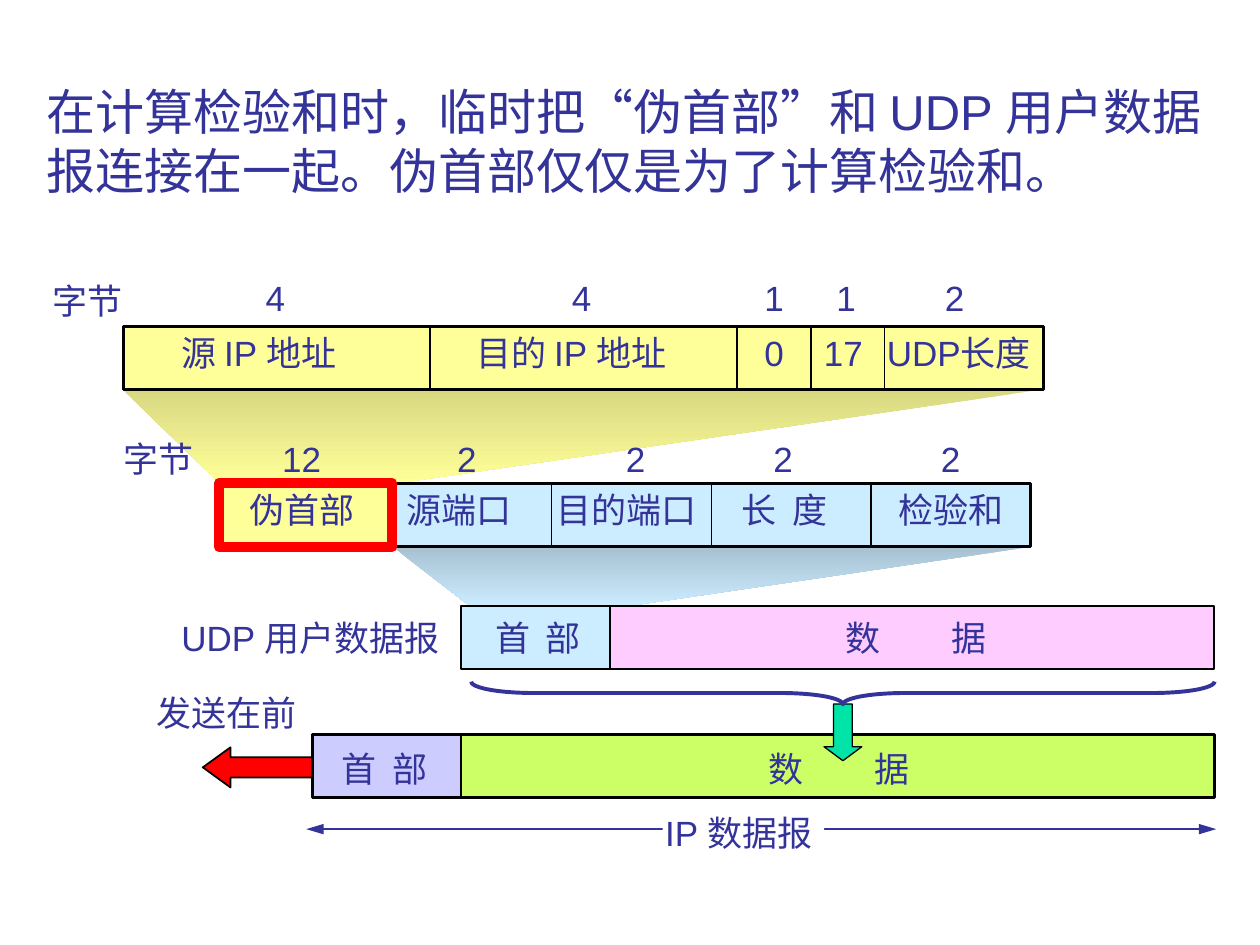
from lxml.etree import SubElement
from pptx import Presentation
from pptx.dml.color import RGBColor
from pptx.enum.dml import MSO_LINE
from pptx.enum.shapes import MSO_CONNECTOR, MSO_SHAPE
from pptx.enum.text import MSO_ANCHOR, MSO_AUTO_SIZE, PP_ALIGN
from pptx.oxml.ns import qn
from pptx.util import Pt

INK, BLACK, WHITE, RED = "333399", "000000", "FFFFFF", "FF0000"
YELLOW, BLUE = "FFFF99", "CCECFF"
ROW_HEIGHT = 36
LABEL_HEIGHT = 31.7
CJK_SPACE = 4.5  # width of one space between Chinese characters at 20 pt

# Content: title runs with their fonts
TITLE = [
    ("在计算检验和时，临时把“伪首部”和 UDP 用户数据报连接在一起。", "Arial"),
    ("伪首部仅仅是为了计算检验和。", "Lato"),
]

# Expansion cones: points, top colour, bottom colour
CONES = [
    ([(224.5, 312.5), (589, 312.5), (358, 346.5), (268, 346)], "A7C1D1", BLUE),
    ([(70, 222.5), (596, 222.5), (224.5, 276.5), (126, 276.5)], "D8D882", YELLOW),
]

# Bars: left, top, width, fill, line weight, inner divider positions
BARS = [
    (70.5, 186.5, 526, YELLOW, 1.5, [245.8, 421.2, 463.5, 505.5]),
    (224, 276.5, 365, BLUE, 1.5, [224 + 365 / 4 * i for i in (1, 2, 3)]),
    (263.5, 346.3, 85, BLUE, 1, []),
    (348.5, 346.3, 345.5, "FFCCFF", 1, []),
    (178.5, 419.8, 85, "CCCCFF", 1.5, []),
    (263.5, 419.8, 430.5, "CCFF66", 1.5, []),
]

# Labels by row top: text, left, width, spaces in its gap
LABELS = {
    154.2: [("4", 144.7, 25.5), ("4", 319.7, 25.5), ("1", 429.8, 25.5),
            ("1", 470.9, 25.5), ("2", 532.8, 25.5)],
    156: [("字节", 23, 54.4)],
    185.7: [("源 IP 地址", 96.5, 113), ("目的 IP 地址", 265, 133), ("0", 429.8, 25.5),
            ("17", 463.7, 36.6), ("UDP长度", 499.7, 101.5)],
    246.5: [("字节", 63.4, 54.4), ("12", 154.1, 36.6), ("2", 254.2, 25.5),
            ("2", 350.6, 25.5), ("2", 434.9, 25.5), ("2", 530.6, 25.5)],
    275.8: [("伪首部", 135.4, 74.4), ("源端口", 225.4, 74.4), ("目的端口", 311, 94.4),
            ("长 度", 416.9, 63.4, 2), ("检验和", 506.2, 74.4)],
    348.8: [("UDP 用户数据报", 96.5, 167), ("首 部", 275.8, 63.4, 2),
            ("数 据", 475.9, 95, 9)],
    391.7: [("发送在前", 82.1, 94.4)],
    423.4: [("首 部", 187.9, 63.4, 2), ("数 据", 432, 95, 9)],
    460: [("IP 数据报", 373, 103.7)],
}


def color(value):
    return RGBColor.from_string(value)


def paint(shape, fill=None, line=None, weight=1):
    shape.shadow.inherit = False
    if fill:
        shape.fill.solid()
        shape.fill.fore_color.rgb = color(fill)
    else:
        shape.fill.background()
    if line:
        shape.line.color.rgb = color(line)
        shape.line.width = Pt(weight)
    else:
        shape.line.fill.background()


def add_preset(slide, kind, left, top, width, height, **style):
    shape = slide.shapes.add_shape(kind, Pt(left), Pt(top), Pt(width), Pt(height))
    paint(shape, **style)
    return shape


def add_outline(slide, points, close):
    corners = [(Pt(x), Pt(y)) for x, y in points]
    builder = slide.shapes.build_freeform(*corners[0])
    builder.add_line_segments(corners[1:], close=close)
    return builder.convert_to_shape()


def add_line(slide, x1, y1, x2, y2, line, arrows=False):
    connector = slide.shapes.add_connector(
        MSO_CONNECTOR.STRAIGHT, Pt(x1), Pt(y1), Pt(x2), Pt(y2))
    connector.line.color.rgb = color(line)
    connector.line.width = Pt(0.75)
    if arrows:
        outline = connector._element.spPr.find(qn("a:ln"))
        for end in ("a:headEnd", "a:tailEnd"):
            SubElement(outline, qn(end), type="triangle", w="med", len="lg")
    SubElement(connector._element.spPr, qn("a:effectLst"))
    return connector


def format_span(span, size, font="Arial"):
    span.font.size = Pt(size)
    span.font.name = font
    span.font.color.rgb = color(INK)


def add_label(slide, top, text, left, width, spaces=0):
    box = slide.shapes.add_textbox(Pt(left), Pt(top), Pt(width), Pt(LABEL_HEIGHT))
    box.text_frame.word_wrap = False
    box.text_frame.auto_size = MSO_AUTO_SIZE.SHAPE_TO_FIT_TEXT
    para = box.text_frame.paragraphs[0]
    for part in text.partition(" ") if spaces else [text]:
        span = para.add_run()
        span.text = part
        format_span(span, 20)
        if part == " ":  # widen the gap by character spacing
            span._r.get_or_add_rPr().set("spc", str(round((spaces - 1) * CJK_SPACE * 100)))


def add_title(slide):
    title = slide.shapes.title
    title.left, title.top, title.width, title.height = Pt(19.5), Pt(43), Pt(683), Pt(75)
    frame = title.text_frame
    frame.word_wrap = True
    frame.auto_size = MSO_AUTO_SIZE.NONE
    frame.vertical_anchor = MSO_ANCHOR.TOP
    para = frame.paragraphs[0]
    para.alignment = PP_ALIGN.LEFT
    for text, font in TITLE:
        span = para.add_run()
        span.text = text
        format_span(span, 28, font)


def add_bar(slide, left, top, width, fill, weight, dividers):
    bar = add_preset(slide, MSO_SHAPE.RECTANGLE, left, top, width, ROW_HEIGHT,
                     fill=fill, line=BLACK, weight=weight)
    for x in dividers:
        divider = add_line(slide, x, top, x, top + ROW_HEIGHT, BLACK)
        if x == left + width / 2:
            divider.begin_connect(bar, 0)
            divider.end_connect(bar, 2)


def main():
    deck = Presentation()
    deck.slide_width, deck.slide_height = Pt(720), Pt(540)
    slide = deck.slides.add_slide(deck.slide_layouts[5])
    add_title(slide)

    # Expansion cones
    for points, top_color, bottom_color in CONES:
        cone = add_outline(slide, points, close=True)
        paint(cone)
        cone.fill.gradient()
        cone.fill.gradient_angle = 270
        for stop, value in zip(cone.fill.gradient_stops, (top_color, bottom_color)):
            stop.color.rgb = color(value)

    # Field bars
    for bar in BARS:
        add_bar(slide, *bar)

    # Pseudo header: dashed cell inside a red frame
    cell = add_outline(
        slide, [(224.5, 312.5), (126, 312.5), (126, 276.5), (224.5, 276.5)], close=False)
    paint(cell, YELLOW, BLACK, 1.5)
    cell.line.dash_style = MSO_LINE.DASH
    add_preset(slide, MSO_SHAPE.RECTANGLE, 125.3, 276, 98.7, 36.5, line=RED, weight=6)

    # Extent of the IP datagram, with a white break for its label
    add_line(slide, 175, 473.8, 695, 473.8, INK, arrows=True)
    add_preset(slide, MSO_SHAPE.RECTANGLE, 378.7, 461.5, 92.2, 23, fill=WHITE)

    # Labels
    for top, row in LABELS.items():
        for label in row:
            add_label(slide, top, *label)

    # Arrows and brace
    send = add_preset(slide, MSO_SHAPE.LEFT_ARROW, 115.9, 427, 62.6, 23, fill=RED, line=BLACK)
    send.adjustments[1] = 0.69
    down = add_preset(slide, MSO_SHAPE.DOWN_ARROW, 470.9, 402.3, 21.6, 32.4,
                      fill="00E4A8", line=BLACK, weight=0.75)
    down.adjustments[1] = 0.37
    brace = add_preset(slide, MSO_SHAPE.LEFT_BRACE, 475.2, 183.6, 13, 424.8, line=INK, weight=2.25)
    brace.adjustments[0] = 2.72
    brace.rotation = 270

    deck.save("out.pptx")


if __name__ == "__main__":
    main()
